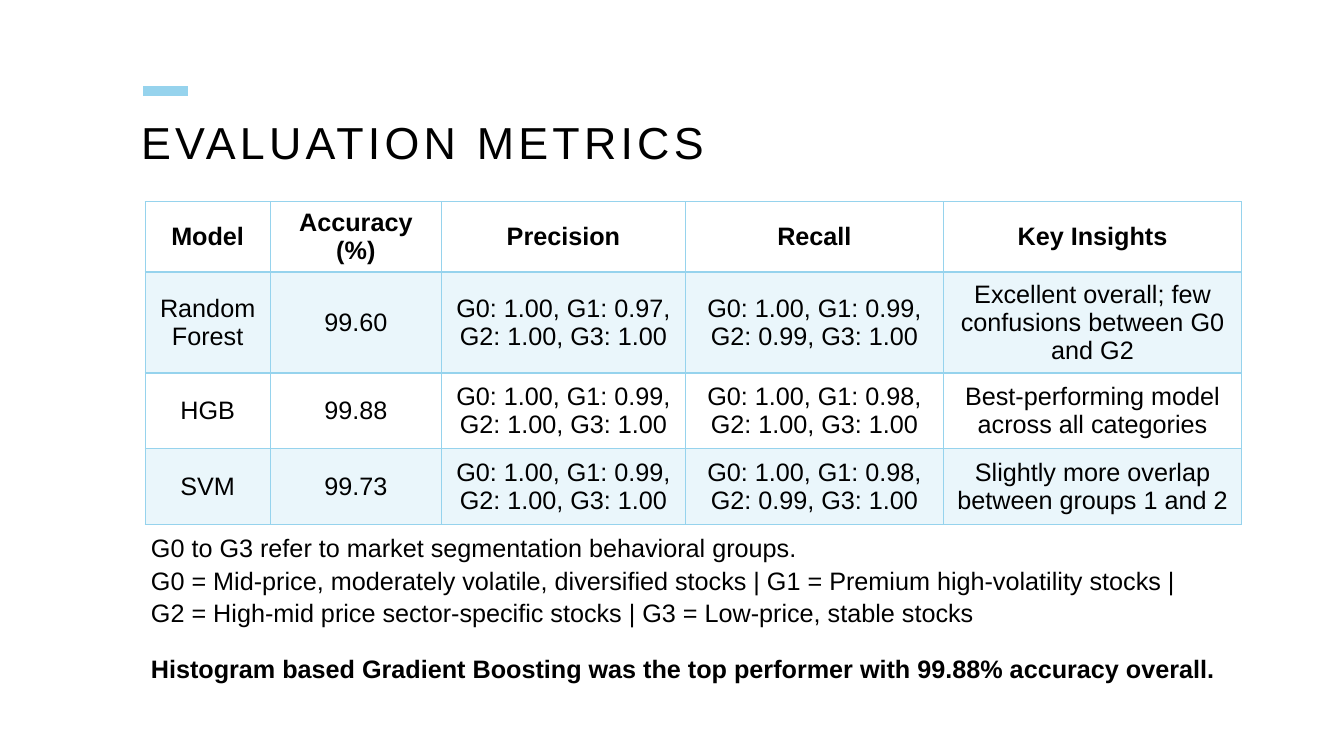
from lxml.etree import SubElement
from pptx import Presentation
from pptx.dml.color import RGBColor
from pptx.enum.shapes import MSO_CONNECTOR as Connector
from pptx.enum.text import MSO_ANCHOR as Anchor, PP_ALIGN as Align
from pptx.oxml import parse_xml
from pptx.oxml.ns import nsdecls, qn
from pptx.util import Pt

SKY = "96D3ED"
BLACK = "000000"


def color(value):
    return RGBColor.from_string(value)


def write(paragraph, text, align, **font_format):
    paragraph.alignment = align
    run = paragraph.add_run()
    run.text = text
    run.font.color.rgb = color(BLACK)
    for key, value in {"name": "Arial", "size": Pt(18), "bold": False, **font_format}.items():
        setattr(run.font, key, value)
    return run


deck = Presentation()
deck.slide_width, deck.slide_height = Pt(960), Pt(540)
slide = deck.slides.add_slide(deck.slide_layouts[6])

accent = slide.shapes.add_connector(Connector.STRAIGHT, Pt(102.2), Pt(64.8), Pt(134.6), Pt(64.8))
accent.line.color.rgb = color(SKY)
accent.line.width = Pt(7)
SubElement(accent._element.spPr, qn("a:effectLst"))

heading = slide.shapes.add_textbox(Pt(100.8), Pt(86.4), Pt(773.3), Pt(72)).text_frame
heading_format = {"word_wrap": True, "margin_left": 0, "margin_top": 0, "margin_right": 0, "margin_bottom": 0}
for key, value in heading_format.items():
    setattr(heading, key, value)
heading.paragraphs[0].line_spacing = 0.9
title = write(heading.paragraphs[0], "EVALUATION METRICS", Align.LEFT, size=Pt(32))
title.font._element.set("spc", "300")

results = [
    ("Model", "Accuracy (%)", "Precision", "Recall", "Key Insights"),
    ("Random Forest", "99.60", "G0: 1.00, G1: 0.97, G2: 1.00, G3: 1.00",
     "G0: 1.00, G1: 0.99, G2: 0.99, G3: 1.00", "Excellent overall; few confusions between G0 and G2"),
    ("HGB", "99.88", "G0: 1.00, G1: 0.99, G2: 1.00, G3: 1.00",
     "G0: 1.00, G1: 0.98, G2: 1.00, G3: 1.00", "Best-performing model across all categories"),
    ("SVM", "99.73", "G0: 1.00, G1: 0.99, G2: 1.00, G3: 1.00",
     "G0: 1.00, G1: 0.98, G2: 0.99, G3: 1.00", "Slightly more overlap between groups 1 and 2"),
]
column_widths = [89.3, 122.4, 174.2, 184.3, 213.1]
row_heights = [47.5, 67.7, 54, 54]

metrics = slide.shapes.add_table(
    len(results), len(column_widths), Pt(103.7), Pt(144), Pt(sum(column_widths)), Pt(sum(row_heights))
).table
metrics.horz_banding = False
metrics.first_row = False
for column, width in zip(metrics.columns, column_widths):
    column.width = Pt(width)

for row_index, (row, height, entries) in enumerate(zip(metrics.rows, row_heights, results)):
    row.height = Pt(height)
    for cell, entry in zip(row.cells, entries):
        cell.vertical_anchor = Anchor.MIDDLE
        write(cell.text_frame.paragraphs[0], entry, Align.CENTER, bold=row_index == 0)
        cell_props = cell._tc.get_or_add_tcPr()
        for side in ("lnL", "lnR", "lnT", "lnB"):
            header_rule = (row_index, side) in ((0, "lnB"), (1, "lnT"))
            cell_props.append(parse_xml(
                f'<a:{side} {nsdecls("a")} w="{Pt(2 if header_rule else 1)}">'
                f'<a:solidFill><a:srgbClr val="{SKY}"/></a:solidFill></a:{side}>'
            ))
        if row_index % 2:
            cell.fill.solid()
            cell.fill.fore_color.rgb = color(SKY)
            tint = cell_props.find(qn("a:solidFill")).find(qn("a:srgbClr"))
            SubElement(tint, qn("a:alpha"), val="20000")
        else:
            cell.fill.background()

group_notes = [
    "G0 to G3 refer to market segmentation behavioral groups.",
    "G0 = Mid-price, moderately volatile, diversified stocks | G1 = Premium high-volatility stocks |",
    "G2 = High-mid price sector-specific stocks | G3 = Low-price, stable stocks",
]
conclusion = ["Histogram based Gradient Boosting was the top performer with 99.88% accuracy overall."]
captions = [
    (group_notes, (100.8, 375.1, 758.2, 72.7), Align.LEFT, False),
    (conclusion, (99.4, 461.5, 776.9, 28.8), Align.CENTER, True),
]
for lines, place, align, bold in captions:
    caption = slide.shapes.add_textbox(*map(Pt, place)).text_frame
    caption.word_wrap = not bold
    for index, line in enumerate(lines):
        paragraph = caption.add_paragraph() if index else caption.paragraphs[0]
        paragraph.line_spacing = 1.08
        write(paragraph, line, align, bold=bold)

deck.save("out.pptx")
